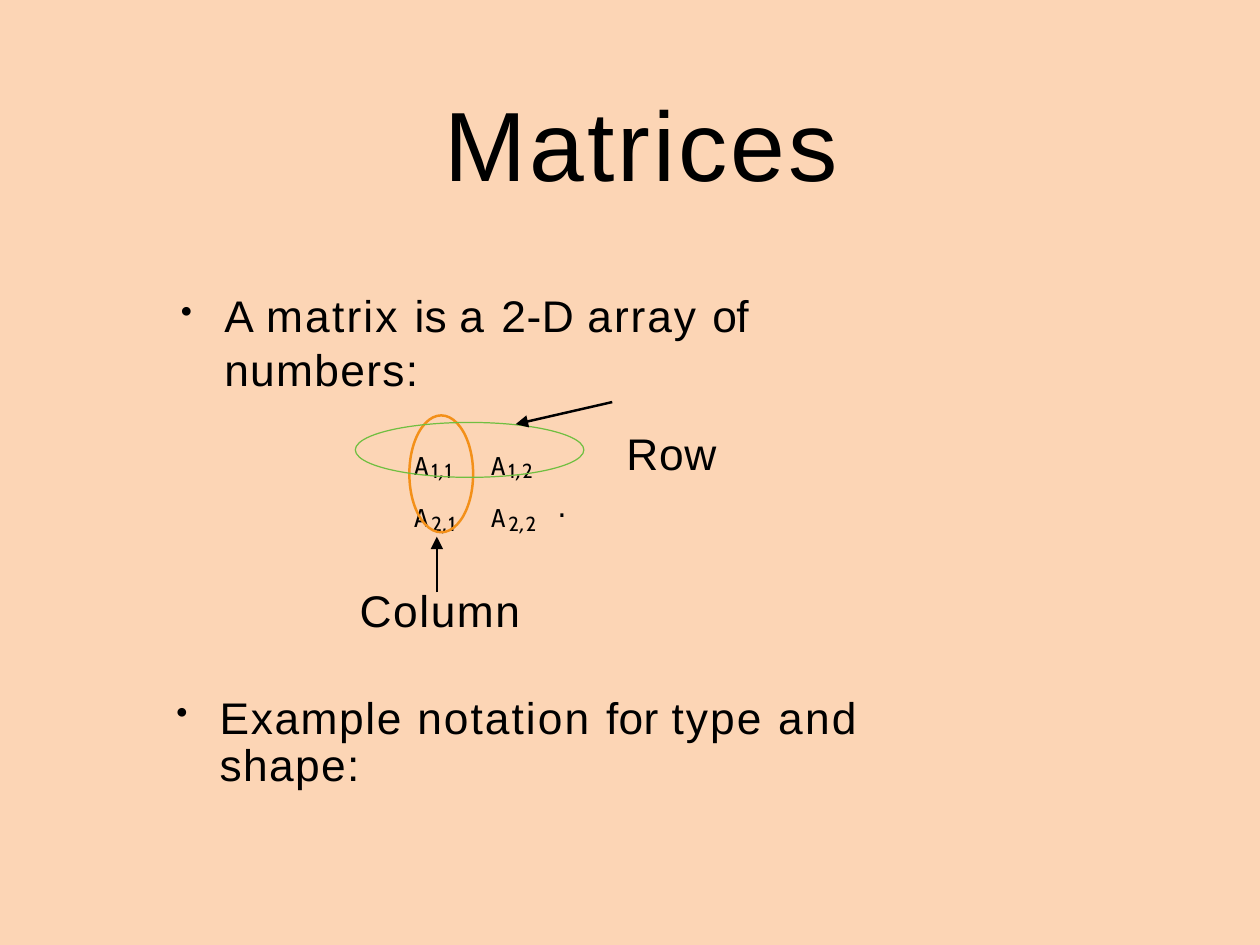
"""Build the slide that introduces matrices, their rows and their columns."""
from dataclasses import dataclass

from lxml import etree
from pptx import Presentation
from pptx.dml.color import RGBColor
from pptx.enum.shapes import MSO_CONNECTOR, MSO_SHAPE
from pptx.oxml.ns import qn
from pptx.util import Inches, Pt

STRAIGHT = MSO_CONNECTOR.STRAIGHT
OVAL = MSO_SHAPE.OVAL
WIDTH, HEIGHT = Inches(14.22), Inches(10.67)


@dataclass(frozen=True)
class Theme:
    background: str = "FCD5B5"
    ink: str = "000000"
    column: str = "F39019"
    row: str = "70BF41"
    font: str = "Arial"
    letter_font: str = "DejaVu Sans Mono"
    index_font: str = "Cabin"
    comma_font: str = "DejaVu Sans"
    title: float = 80
    body: float = 36
    letter: float = 34.5
    index: float = 16.5


THEME = Theme()


@dataclass(frozen=True)
class Piece:
    text: str
    spacing: float
    size: float = THEME.body
    font: str = THEME.font
    baseline: int = 0
    italic: bool = False


@dataclass(frozen=True)
class Line:
    pieces: list[Piece]
    margin: float = 0.0
    hanging: float = 0.0
    before: float = 0.0
    pitch: float | Pt | None = None


@dataclass(frozen=True)
class Box:
    """Left, top, width and height in percent of the slide."""
    left: float
    top: float
    width: float
    height: float


@dataclass(frozen=True)
class Passage:
    box: Box
    lines: list[Line]


@dataclass(frozen=True)
class Ring:
    box: Box
    colour: str
    weight: float


@dataclass(frozen=True)
class Arrow:
    """Start and tip in percent of the slide."""
    start: tuple[float, float]
    tip: tuple[float, float]


def across(percent: float) -> int:
    return round(WIDTH * percent / 100)


def down(percent: float) -> int:
    return round(HEIGHT * percent / 100)


def place(box: Box) -> tuple[int, int, int, int]:
    return across(box.left), down(box.top), across(box.width), down(box.height)


def entry(row: int, column: int) -> list[Piece]:
    """Return the letter A with its row and column indices."""
    gap = " " if row == 1 else ""
    return [
        Piece("A", 2.2, THEME.letter, THEME.letter_font, 8),
        Piece(str(row), -0.1, THEME.index, THEME.index_font),
        Piece(",", -1.1, THEME.index, THEME.comma_font, italic=True),
        Piece(f"{column}{gap}", -0.1, THEME.index, THEME.index_font),
    ]


def matrix_column(column: int) -> Passage:
    pieces = entry(1, column) + entry(2, column)
    left = 32.56 + 6.12 * (column - 1)
    return Passage(Box(left, 46.02, 4.5, 7.59), [Line(pieces, 0.28, pitch=1.03)])


def write_piece(paragraph, piece: Piece) -> None:
    run = paragraph.add_run()
    run.text = piece.text
    run.font.name = piece.font
    run.font.size = Pt(piece.size)
    run.font.color.rgb = RGBColor.from_string(THEME.ink)
    if piece.italic:
        run.font.italic = True
    properties = run.font._element
    properties.set("spc", str(round(piece.spacing * 100)))
    if piece.baseline:
        properties.set("baseline", str(piece.baseline * 1000))


def write_line(paragraph, line: Line) -> None:
    paragraph.space_before = Pt(line.before)
    if line.pitch:
        paragraph.line_spacing = line.pitch
    properties = paragraph._p.get_or_add_pPr()
    properties.set("marL", str(across(line.margin)))
    properties.set("indent", str(across(line.hanging)))
    if line.hanging:
        etree.SubElement(properties, qn("a:buSzPct"), val="75000")
        etree.SubElement(properties, qn("a:buChar"), char="•")
    for piece in line.pieces:
        write_piece(paragraph, piece)


def draw_passage(slide, passage: Passage) -> None:
    frame = slide.shapes.add_textbox(*place(passage.box)).text_frame
    frame.word_wrap = True
    frame.margin_left = frame.margin_right = frame.margin_top = frame.margin_bottom = 0
    for number, line in enumerate(passage.lines):
        write_line(frame.add_paragraph() if number else frame.paragraphs[0], line)


def draw_ring(slide, ring: Ring) -> None:
    oval = slide.shapes.add_shape(OVAL, *place(ring.box))
    oval.shadow.inherit = False
    oval.fill.background()
    oval.line.color.rgb = RGBColor.from_string(ring.colour)
    oval.line.width = Pt(ring.weight)


def draw_arrow(slide, arrow: Arrow) -> None:
    (x1, y1), (x2, y2) = arrow.start, arrow.tip
    pointer = slide.shapes.add_connector(STRAIGHT, across(x1), down(y1), across(x2), down(y2))
    pointer.line.color.rgb = RGBColor.from_string(THEME.ink)
    pointer.line.width = Pt(2)
    etree.SubElement(pointer.line._get_or_add_ln(), qn("a:tailEnd"), type="triangle", w="lg", len="lg")
    etree.SubElement(pointer._element.spPr, qn("a:effectLst"))


PASSAGES = [
    Passage(Box(35.23, 8.8, 35.86, 12.75), [Line([Piece("Matrices", 2.5, THEME.title)], 0.07, before=1)]),
    Passage(Box(13.64, 61.76, 62.66, 22.6), [
        Line([Piece("Column", 1.3)], 14.91, before=3.8),
        Line([Piece("Example ", 1.3), Piece("notation ", 1.7), Piece("for ", 0.3), Piece("type ", 1.7),
              Piece("and ", 1.9), Piece("shape:", 1.1)], 3.8, -3.45, 48, Pt(38.5)),
    ]),
    matrix_column(1),
    matrix_column(2),
    Passage(Box(43.74, 46.77, 2.81, 3.84),
            [Line([Piece(".", -1.4, THEME.letter, THEME.letter_font, -79)], 0.28)]),
    Passage(Box(14.28, 30.55, 59.28, 20.5), [
        Line([Piece("A ", 1), Piece("matrix ", 1.8), Piece("is ", 0.1), Piece("a ", 2), Piece("2-D ", 0.5),
              Piece("array ", 1.6), Piece("of ", -0.6), Piece("numbers:", 1.1)], 3.52, -3.45, 1),
        Line([Piece("Row", 0.5)], 35.44, before=25.8),
    ]),
]
RINGS = [
    Ring(Box(32.49, 43.96, 5.06, 12.37), THEME.column, 2),
    Ring(Box(28.2, 44.7, 18.14, 5.81), THEME.row, 1),
]
ARROWS = [
    Arrow((48.59, 42.55), (40.93, 44.89)),
    Arrow((34.67, 62.7), (34.67, 56.79)),
]


def main() -> None:
    deck = Presentation()
    deck.slide_width, deck.slide_height = WIDTH, HEIGHT
    slide = deck.slides.add_slide(deck.slide_layouts[6])
    slide.background.fill.solid()
    slide.background.fill.fore_color.rgb = RGBColor.from_string(THEME.background)
    for passage in PASSAGES:
        draw_passage(slide, passage)
    for ring in RINGS:
        draw_ring(slide, ring)
    for arrow in ARROWS:
        draw_arrow(slide, arrow)
    deck.save("out.pptx")


if __name__ == "__main__":
    main()
